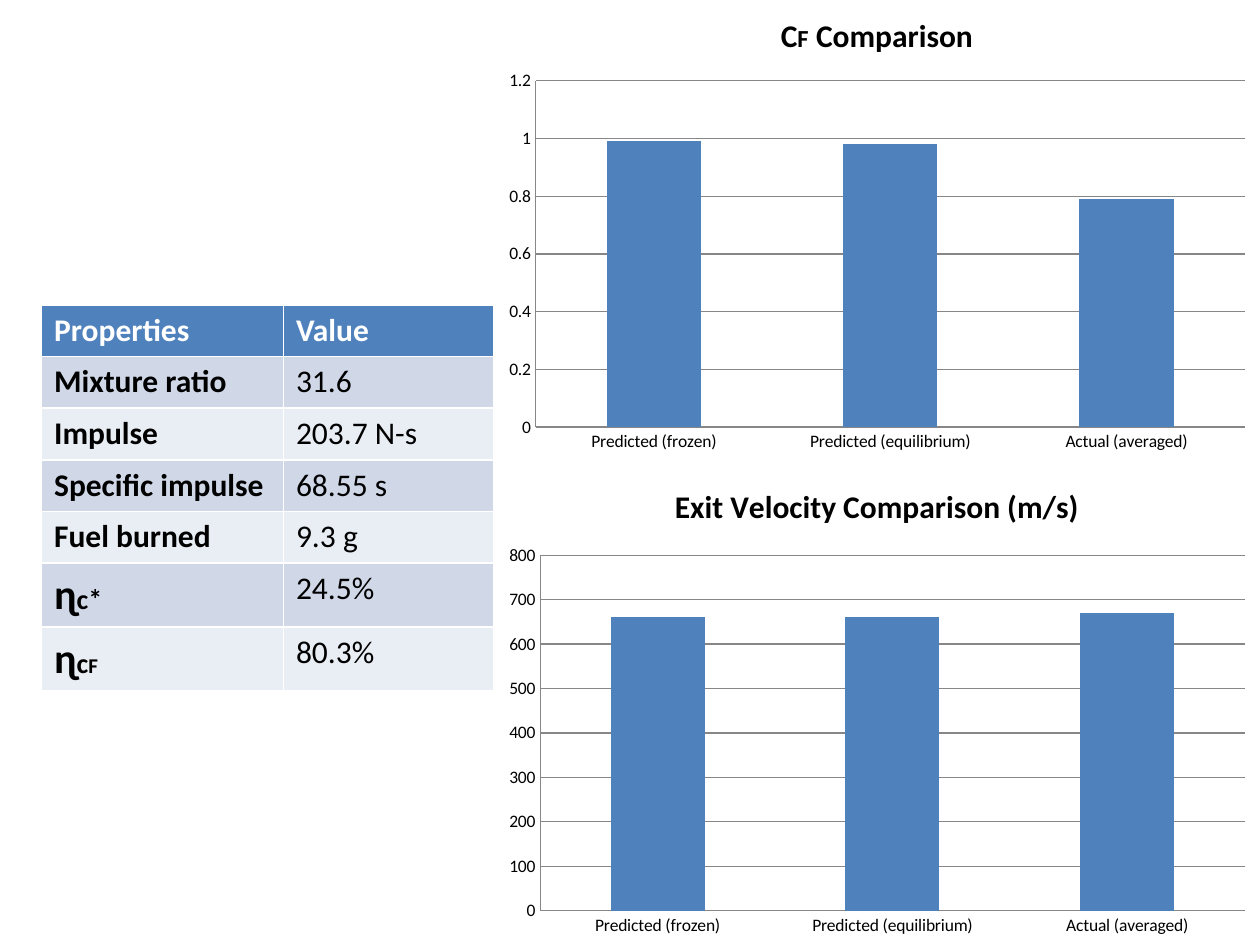
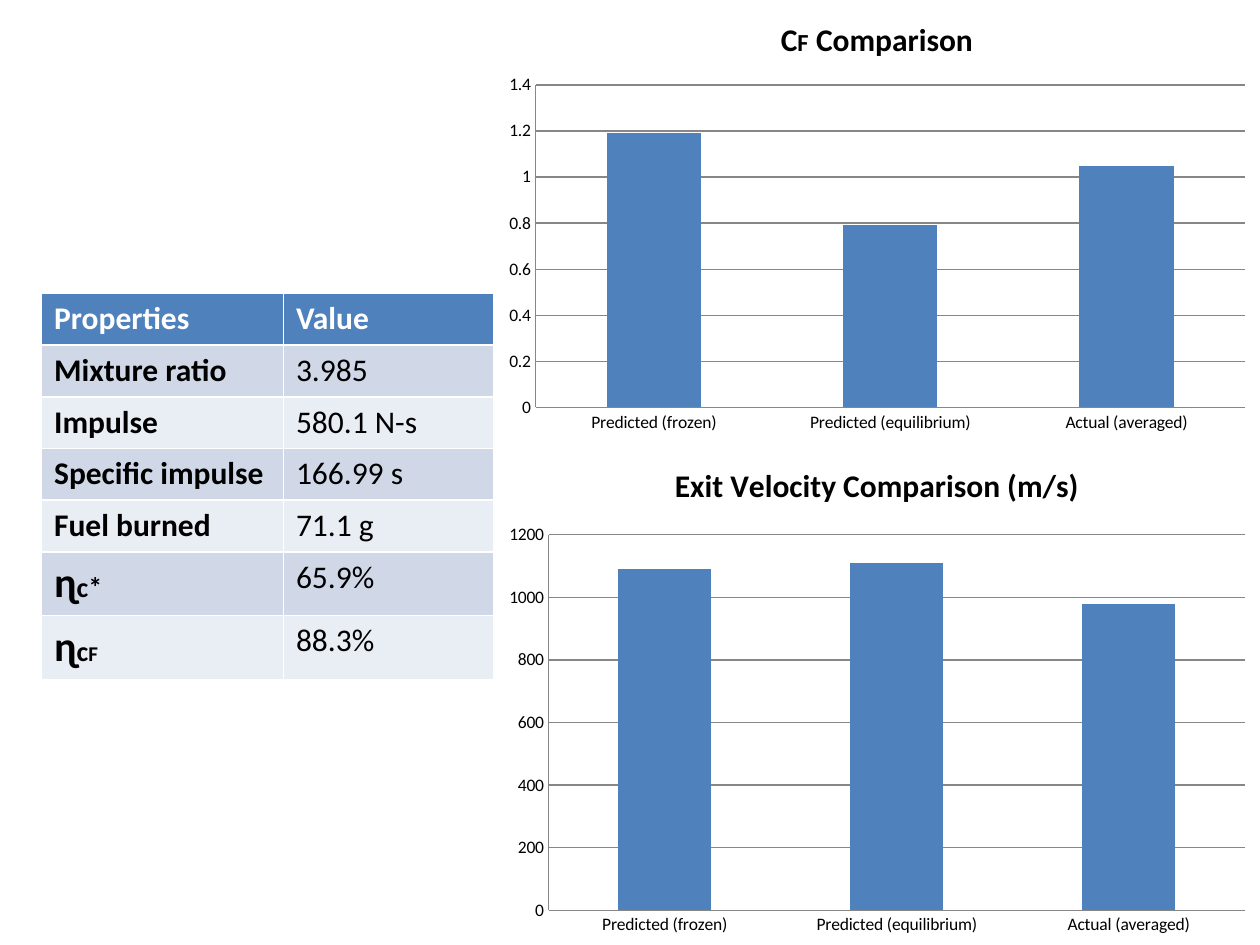
"""Build two motor test result slides, each with a property table and two comparison charts."""
import dataclasses

import pptx
import pptx.chart.data
import pptx.dml.color
import pptx.enum.chart
import pptx.util

Inches = pptx.util.Inches
Pt = pptx.util.Pt
RGB = pptx.dml.color.RGBColor.from_string


@dataclasses.dataclass(frozen=True)
class Theme:
    font: str = "Calibri"
    accent: str = "4F81BD"
    bands: tuple = ("D0D8E8", "E9EDF4")
    text: str = "000000"
    header_text: str = "FFFFFF"
    rule: str = "878787"
    body: int = 18
    symbol: int = 24
    subscript: int = 16
    small_subscript: int = 12
    title_subscript: int = 14
    axis: int = 10


theme = Theme()


def write_runs(paragraph, pieces, color, bold):
    for text, size in pieces:
        run = paragraph.add_run()
        run.text = text
        run.font.name = theme.font
        run.font.size = Pt(size)
        run.font.bold = bold
        run.font.color.rgb = RGB(color)


properties = [
    [("Properties", theme.body)],
    [("Mixture ratio", theme.body)],
    [("Impulse", theme.body)],
    [("Specific impulse", theme.body)],
    [("Fuel burned", theme.body)],
    [("ɳ", theme.symbol), ("c*", theme.subscript)],
    [("ɳ", theme.symbol), ("c", theme.subscript), ("F", theme.small_subscript)],
]
categories = ["Predicted (frozen)", "Predicted (equilibrium)", "Actual (averaged)"]
thrust_title = [("C", theme.body), ("F", theme.title_subscript), (" Comparison", theme.body)]
velocity_title = [("Exit Velocity Comparison (m/s)", theme.body)]

tests = [
    {
        "table_top": 2.42,
        "values": ["31.6", "203.7 N-s", "68.55 s", "9.3 g", "24.5%", "80.3%"],
        "charts": [
            (thrust_title, -0.04, 3.7, (0.99, 0.98, 0.79), 1.2, 0.2),
            (velocity_title, 3.67, 3.83, (660, 660, 670), 800, 100),
        ],
    },
    {
        "table_top": 2.33,
        "values": ["3.985", "580.1 N-s", "166.99 s", "71.1 g", "65.9%", "88.3%"],
        "charts": [
            (velocity_title, 3.5, 4, (1090, 1110, 980), 1200, 200),
            (thrust_title, 0, 3.5, (1.19, 0.79, 1.05), 1.4, 0.2),
        ],
    },
]

deck = pptx.Presentation()
deck.slide_width = Inches(10)
deck.slide_height = Inches(7.5)

for test in tests:
    slide = deck.slides.add_slide(deck.slide_layouts[6])

    results = slide.shapes.add_table(
        len(properties), 2, Inches(0.33), Inches(test["table_top"]), Inches(3.58), Inches(2.84)
    ).table
    results.first_col = True
    for column, width in zip(results.columns, (1.92, 1.67)):
        column.width = Inches(width)
    values = [[(value, theme.body)] for value in ["Value"] + test["values"]]
    for row, pair in enumerate(zip(properties, values)):
        is_header = row == 0
        results.rows[row].height = Inches(0.41)
        for column, pieces in enumerate(pair):
            cell = results.cell(row, column)
            cell.fill.solid()
            cell.fill.fore_color.rgb = RGB(theme.accent if is_header else theme.bands[(row - 1) % 2])
            color = theme.header_text if is_header else theme.text
            write_runs(cell.text_frame.paragraphs[0], pieces, color, is_header or column == 0)

    for title, top, height, measurements, maximum, step in test["charts"]:
        comparison = pptx.chart.data.CategoryChartData()
        comparison.categories = categories
        comparison.add_series("Series 1", measurements)
        chart = slide.shapes.add_chart(
            pptx.enum.chart.XL_CHART_TYPE.COLUMN_CLUSTERED,
            Inches(3.92), Inches(top), Inches(6.08), Inches(height), comparison,
        ).chart
        chart.has_legend = False
        chart.font.name = theme.font
        chart.font.size = Pt(theme.axis)
        chart.font.color.rgb = RGB(theme.text)
        chart.has_title = True
        chart.chart_title.include_in_layout = False
        write_runs(chart.chart_title.text_frame.paragraphs[0], title, theme.text, True)

        bars = chart.plots[0]
        bars.gap_width = 150
        bars.vary_by_categories = False
        bars.series[0].format.fill.solid()
        bars.series[0].format.fill.fore_color.rgb = RGB(theme.accent)

        scale = chart.value_axis
        scale.minimum_scale = 0
        scale.maximum_scale = maximum
        scale.major_unit = step
        scale.has_major_gridlines = True
        scale.tick_labels.number_format = "General"
        scale.tick_labels.number_format_is_linked = False
        for axis in (chart.category_axis, scale):
            axis.major_tick_mark = pptx.enum.chart.XL_TICK_MARK.NONE
            axis.minor_tick_mark = pptx.enum.chart.XL_TICK_MARK.NONE
        for lines in (chart.category_axis, scale, scale.major_gridlines):
            lines.format.line.color.rgb = RGB(theme.rule)
            lines.format.line.width = Pt(0.75)

deck.save("out.pptx")
